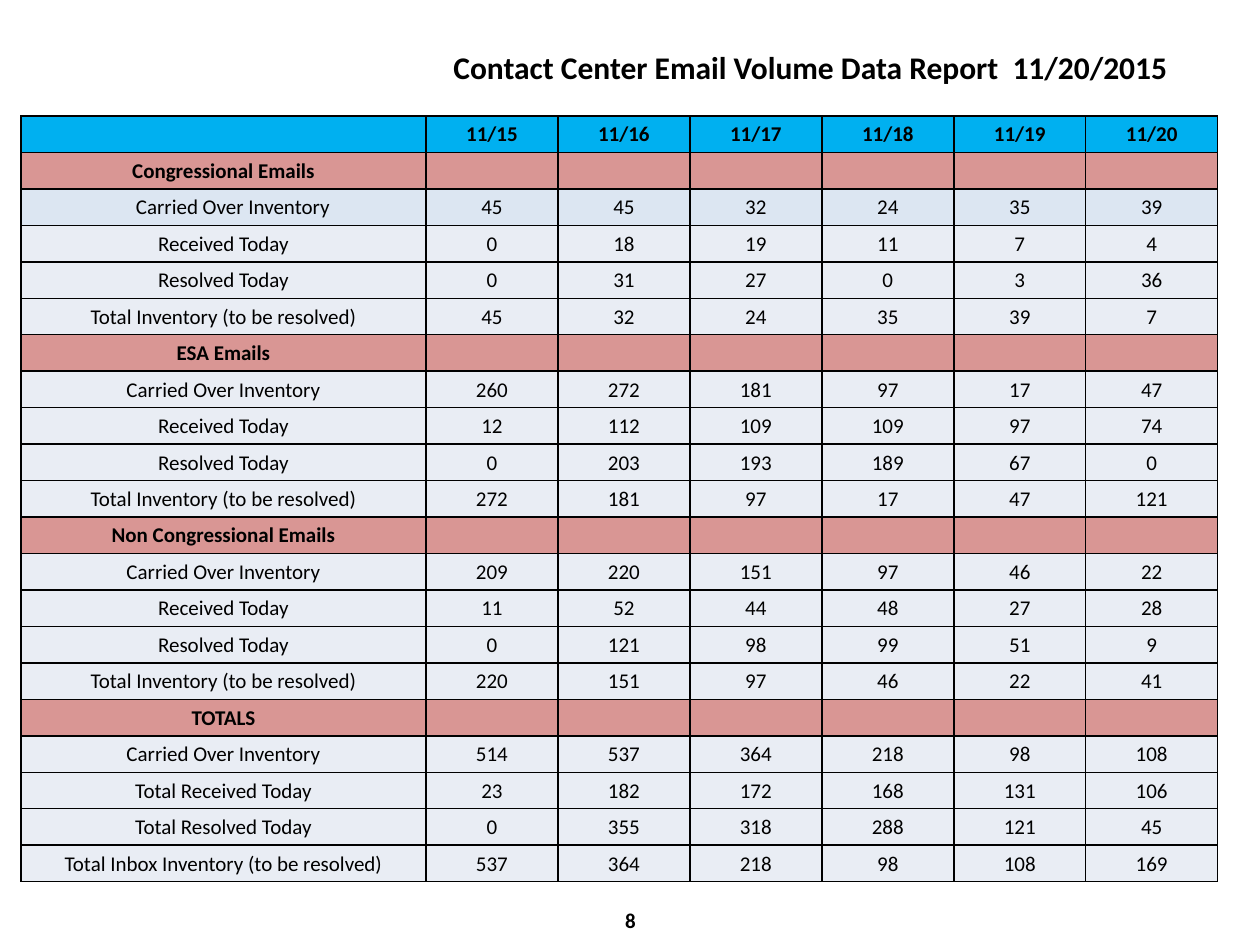
from lxml import etree
from pptx import Presentation
from pptx.dml.color import RGBColor
from pptx.enum.text import MSO_ANCHOR, PP_ALIGN
from pptx.oxml.ns import qn
from pptx.util import Pt

LEFT, CENTER = PP_ALIGN.LEFT, PP_ALIGN.CENTER
TOP, MIDDLE = MSO_ANCHOR.TOP, MSO_ANCHOR.MIDDLE

SCALE = 914400 / 126
FONT = "Calibri"
TABLE_SIZE = 12
BLACK = RGBColor(0x00, 0x00, 0x00)
HEADER_BLUE = RGBColor(0x00, 0xB0, 0xF0)
SECTION_RED = RGBColor(0xD9, 0x96, 0x94)
FIRST_ROW_BLUE = RGBColor(0xDC, 0xE6, 0xF2)
ROW_GREY = RGBColor(0xE9, 0xED, 0xF4)

DATES = ["11/15", "11/16", "11/17", "11/18", "11/19", "11/20"]
LABELS = ["Carried Over Inventory", "Received Today", "Resolved Today",
          "Total Inventory (to be resolved)"]
TOTAL_LABELS = ["Carried Over Inventory", "Total Received Today",
                "Total Resolved Today", "Total Inbox Inventory (to be resolved)"]
SECTIONS = [
    ("Congressional Emails", LABELS, [
        [45, 45, 32, 24, 35, 39],
        [0, 18, 19, 11, 7, 4],
        [0, 31, 27, 0, 3, 36],
        [45, 32, 24, 35, 39, 7]]),
    ("ESA Emails", LABELS, [
        [260, 272, 181, 97, 17, 47],
        [12, 112, 109, 109, 97, 74],
        [0, 203, 193, 189, 67, 0],
        [272, 181, 97, 17, 47, 121]]),
    ("Non Congressional Emails", LABELS, [
        [209, 220, 151, 97, 46, 22],
        [11, 52, 44, 48, 27, 28],
        [0, 121, 98, 99, 51, 9],
        [220, 151, 97, 46, 22, 41]]),
    ("TOTALS", TOTAL_LABELS, [
        [514, 537, 364, 218, 98, 108],
        [23, 182, 172, 168, 131, 106],
        [0, 355, 318, 288, 121, 45],
        [537, 364, 218, 98, 108, 169]]),
]


def px(pixels):
    return round(pixels * SCALE)


def write_text(frame, text, size=TABLE_SIZE, bold=False, align=CENTER):
    para = frame.paragraphs[0]
    para.alignment = align
    if not text:
        etree.SubElement(para._p, qn("a:endParaRPr"), sz=str(size * 100))
        return
    span = para.add_run()
    span.text = text
    span.font.name = FONT
    span.font.size = Pt(size)
    span.font.bold = bold
    span.font.color.rgb = BLACK


def add_text(page, text, left, top, width, height, anchor=TOP, **style):
    box = page.shapes.add_textbox(px(left), px(top), px(width), px(height))
    box.text_frame.word_wrap = True
    box.text_frame.vertical_anchor = anchor
    write_text(box.text_frame, text, **style)


def add_borders(cell):
    properties = cell._tc.get_or_add_tcPr()
    for side in ("a:lnL", "a:lnR", "a:lnT", "a:lnB"):
        line = etree.SubElement(properties, qn(side), w=str(Pt(1)))
        fill = etree.SubElement(line, qn("a:solidFill"))
        etree.SubElement(fill, qn("a:srgbClr"), val=str(BLACK))


def fill_cell(cell, text, color, bold):
    cell.margin_left = cell.margin_right = cell.margin_top = px(1)
    cell.margin_bottom = 0
    cell.vertical_anchor = MIDDLE
    add_borders(cell)
    cell.fill.solid()
    cell.fill.fore_color.rgb = color
    write_text(cell.text_frame, text, bold=bold)


def table_rows():
    rows = [([""] + DATES, HEADER_BLUE, True)]
    for title, labels, values in SECTIONS:
        rows.append(([title] + [""] * len(DATES), SECTION_RED, True))
        for label, numbers in zip(labels, values):
            color = FIRST_ROW_BLUE if len(rows) == 2 else ROW_GREY
            rows.append(([label] + [str(number) for number in numbers], color, False))
    return rows


def add_volume_table(page, left, top, height, label_width, date_width):
    rows = table_rows()
    widths = [label_width] + [date_width] * len(DATES)
    table = page.shapes.add_table(len(rows), len(widths), px(left), px(top),
                                  px(sum(widths)), px(height)).table
    table.first_row = False
    table.horz_banding = False
    for column, width in zip(table.columns, widths):
        column.width = px(width)
    for row, (texts, color, bold) in zip(table.rows, rows):
        row.height = px(height / len(rows))
        for cell, text in zip(row.cells, texts):
            fill_cell(cell, text, color, bold)
    table.cell(2, 0).margin_left = px(20)


def main():
    deck = Presentation()
    deck.slide_width, deck.slide_height = px(1260), px(945)
    page = deck.slides.add_slide(deck.slide_layouts[6])
    add_text(page, "8", 431, 895, 399, 50, anchor=MIDDLE, size=12, bold=True)
    add_text(page, "Contact Center Email Volume Data Report  11/20/2015",
             441, 42, 809, 50, size=18, bold=True, align=LEFT)
    add_volume_table(page, left=21, top=116, height=766, label_width=405, date_width=132)
    deck.save("out.pptx")


main()
